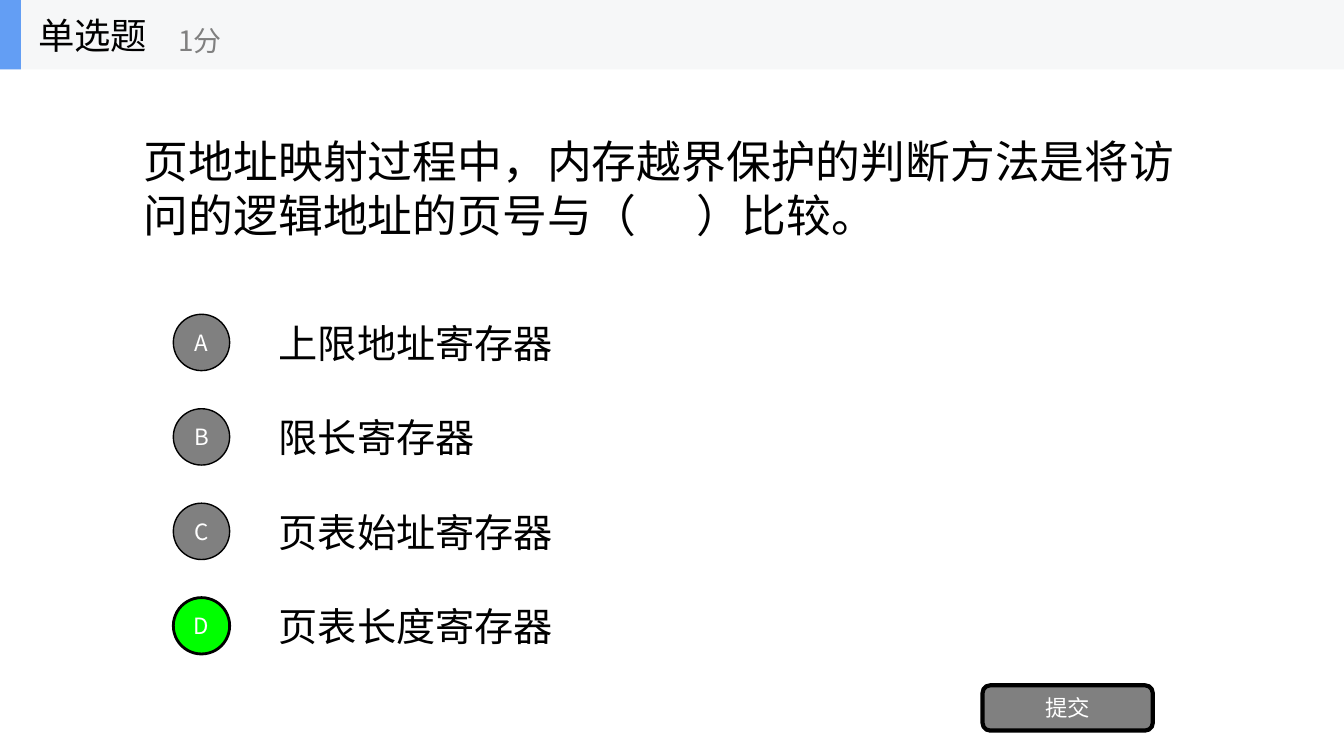
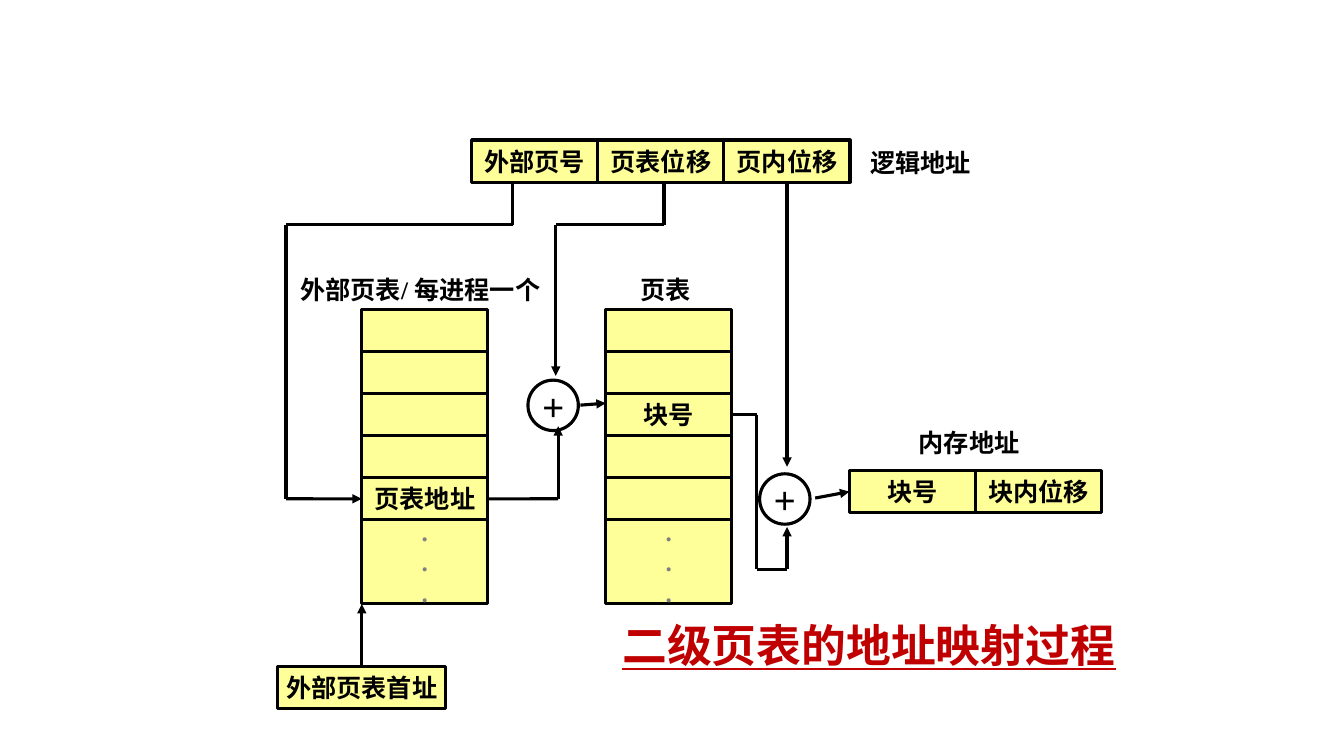
from itertools import pairwise

from lxml import etree
from pptx import Presentation
from pptx.dml.color import RGBColor
from pptx.enum import shapes, text
from pptx.oxml import ns
from pptx.util import Cm, Pt

# Shared colours and fonts
BLACK = RGBColor(0, 0, 0)
WHITE = RGBColor(255, 255, 255)
GRAY = RGBColor(0x80, 0x80, 0x80)
GREEN = RGBColor(0, 255, 0)
BAND = RGBColor(0xF6, 0xF7, 0xF8)
ACCENT = RGBColor(0x63, 0x9E, 0xF4)
YELLOW = RGBColor(0xFF, 0xFF, 0x99)
RED = RGBColor(0xC0, 0, 0)
SANS, SERIF = "Noto Sans CJK SC", "Times New Roman"

# Text formats
QUESTION = {"name": SERIF, "size": Pt(32)}
OPTION = {"name": SERIF, "size": Pt(28)}
BUTTON = {"name": SANS, "size": Pt(16)}
HEADING = {"name": SANS, "size": Pt(26)}
SCORE = {"name": SANS, "size": Pt(20)}
LABEL = {"name": SERIF, "size": Pt(18), "bold": True}
PLUS = {"name": SERIF, "size": Pt(28), "bold": True}
TITLE = {"name": SANS, "size": Pt(32), "bold": True, "underline": True}

SLIDE_WIDTH, SLIDE_HEIGHT = 33.88, 19.05
LINE_WIDTH = 2.25
CELL_WIDTH, CELL_HEIGHT = 3.18, 1.06
ADDER_SIZE = 1.27
LEFT, CENTER = text.PP_ALIGN.LEFT, text.PP_ALIGN.CENTER
TOP, MIDDLE = text.MSO_ANCHOR.TOP, text.MSO_ANCHOR.MIDDLE
RECTANGLE = shapes.MSO_SHAPE.RECTANGLE
OVAL = shapes.MSO_SHAPE.OVAL
ROUNDED = shapes.MSO_SHAPE.ROUNDED_RECTANGLE


def write(shape, content, style, color=BLACK, align=LEFT, anchor=MIDDLE, wrap=True):
    frame = shape.text_frame
    frame.word_wrap = wrap
    frame.vertical_anchor = anchor
    frame.text = content
    for paragraph in frame.paragraphs:
        paragraph.alignment = align
        for run in paragraph.runs:
            for name, value in style.items():
                setattr(run.font, name, value)
            run.font.color.rgb = color
            east_asian = etree.SubElement(run.font._element, ns.qn("a:ea"))
            east_asian.set("typeface", SANS)


def add_text(slide, box, content, style, **layout):
    textbox = slide.shapes.add_textbox(*map(Cm, box))
    write(textbox, content, style, **layout)


def add_box(slide, kind, box, fill=None, line=None):
    """Add a preset shape; line is a width in points."""
    shape = slide.shapes.add_shape(kind, *map(Cm, box))
    shape.shadow.inherit = False
    if fill is None:
        shape.fill.background()
    else:
        shape.fill.solid()
        shape.fill.fore_color.rgb = fill
    if line is None:
        shape.line.fill.background()
    else:
        shape.line.color.rgb = BLACK
        shape.line.width = Pt(line)
    return shape


# Question slide
def add_header(slide, left, top, width, height):
    add_box(slide, RECTANGLE, (left, top, width, height), BAND)
    add_box(slide, RECTANGLE, (left, top, 0.53, height), ACCENT)
    add_text(slide, (left + 0.71, top, 5.28, height), "单选题", HEADING)
    add_text(slide, (left + 4.24, top + 0.3, 6.35, 1.42), "1分", SCORE, color=GRAY)


def add_options(slide, left, top, width, step, options, answer):
    for index, (letter, option) in enumerate(options.items()):
        y = top + index * step
        add_text(slide, (left + 2.41, y, width - 2.41, 1.78), option, OPTION)
        chosen = letter == answer
        circle = add_box(slide, OVAL, (left, y + 0.17, 1.42, 1.42),
                         GREEN if chosen else GRAY, 2 if chosen else 1)
        write(circle, letter, BUTTON, WHITE, CENTER, wrap=False)


def build_question(slide):
    add_text(slide, (3.38, 1.75, 27.1, 5.94),
             "页地址映射过程中，内存越界保护的判断方法是将访问的逻辑地址的页号与（      ）比较。",
             QUESTION)
    options = {"A": "上限地址寄存器", "B": "限长寄存器",
               "C": "页表始址寄存器", "D": "页表长度寄存器"}
    add_options(slide, 4.37, 7.75, 26.11, 2.38, options, "D")
    submit = add_box(slide, ROUNDED, (24.77, 17.27, 4.29, 1.14), GRAY, 3)
    write(submit, "提交", BUTTON, WHITE, CENTER)
    add_header(slide, 0, 0, SLIDE_WIDTH, 1.75)


# Address mapping slide
def add_cell(slide, left, top, content="", width=CELL_WIDTH):
    cell = add_box(slide, RECTANGLE, (left, top, width, CELL_HEIGHT), YELLOW, LINE_WIDTH)
    if content:
        write(cell, content, LABEL, align=CENTER, wrap=False)
    return cell


def add_address(slide, left, top, fields):
    return [add_cell(slide, left + index * CELL_WIDTH, top, field)
            for index, field in enumerate(fields)]


def add_page_table(slide, left, top, rows):
    """Stack the entries above a double-height cell of dots."""
    cells = [add_cell(slide, left, top + index * CELL_HEIGHT, row)
             for index, row in enumerate(rows)]
    rest = (left, top + len(rows) * CELL_HEIGHT, CELL_WIDTH, 2 * CELL_HEIGHT)
    dots = add_box(slide, RECTANGLE, rest, YELLOW, LINE_WIDTH)
    write(dots, ".\n.\n.", LABEL, GRAY, CENTER, wrap=False)
    return cells


def add_adder(slide, left, top):
    adder = add_box(slide, OVAL, (left, top, ADDER_SIZE, ADDER_SIZE), line=LINE_WIDTH)
    for side in ("left", "top", "right", "bottom"):
        setattr(adder.text_frame, f"margin_{side}", 0)
    write(adder, "+", PLUS, align=CENTER, wrap=False)


def add_route(slide, left, top, points, begin=None, end=None):
    """Join points by straight lines, with an arrowhead on the last one."""
    segments = []
    for (x1, y1), (x2, y2) in pairwise(points):
        segment = slide.shapes.add_connector(
            shapes.MSO_CONNECTOR.STRAIGHT,
            *map(Cm, (left + x1, top + y1, left + x2, top + y2)))
        segment.line.color.rgb = BLACK
        segment.line.width = Pt(LINE_WIDTH)
        etree.SubElement(segment._element.spPr, ns.qn("a:effectLst"))
        segments.append(segment)
    if begin:
        segments[0].begin_connect(*begin)
    if end:
        segments[-1].end_connect(*end)
    line = segments[-1].line._get_or_add_ln()
    etree.SubElement(line, ns.qn("a:tailEnd")).set("type", "triangle")


def add_mapping(slide, left, top):
    # Addresses and tables
    logical_x, outer_x, inner_x, memory_x = 4.89, 2.12, 8.27, 14.41
    table_y, memory_y, base_y = 4.27, 8.33, 13.26
    logical = add_address(slide, left + logical_x, top, ["外部页号", "页表位移", "页内位移"])
    outer = add_page_table(slide, left + outer_x, top + table_y, ["", "", "", "", "页表地址"])
    inner = add_page_table(slide, left + inner_x, top + table_y, ["", "", "块号", "", ""])
    memory = add_address(slide, left + memory_x, top + memory_y, ["块号", "块内位移"])
    base = add_cell(slide, left, top + base_y, "外部页表首址", 4.24)

    # Captions
    for x, y, width, caption in [(14.69, 0.05, 3.05, "逻辑地址"),
                                 (0.32, 3.25, 6.86, "外部页表/ 每进程一个"),
                                 (8.9, 3.25, 1.78, "页表"),
                                 (15.91, 7.11, 3.05, "内存地址")]:
        add_text(slide, (left + x, top + y, width, 1.02), caption, LABEL,
                 anchor=TOP, wrap=False)

    # Adders
    for x, y in [(6.31, 6.05), (12.15, 8.41)]:
        add_adder(slide, left + x, top + y)

    # Arrows
    bend_y = 2.13
    entry_y = table_y + 4.5 * CELL_HEIGHT
    frame_y = table_y + 2.5 * CELL_HEIGHT
    table_bottom = table_y + 7 * CELL_HEIGHT
    offset_x = logical_x + 2.5 * CELL_WIDTH
    outer_right, inner_right = outer_x + CELL_WIDTH, inner_x + CELL_WIDTH
    routes = [
        ([(5.93, CELL_HEIGHT), (5.93, bend_y), (0.21, bend_y), (0.21, entry_y),
          (outer_x, entry_y)], None, (outer[4], 1)),
        ([(9.74, CELL_HEIGHT), (9.74, bend_y), (7.01, bend_y), (7.01, 5.94)], None, None),
        ([(offset_x, CELL_HEIGHT), (offset_x, 8.23)], (logical[2], 2), None),
        ([(outer_right, entry_y), (7.07, entry_y), (7.07, 7.21)], (outer[4], 3), None),
        ([(2.12, base_y), (outer_x, table_bottom)], (base, 0), None),
        ([(7.63, 6.68), (inner_x, 6.63)], None, None),
        ([(inner_right, frame_y), (12.08, frame_y), (12.08, 10.82), (offset_x, 10.82),
          (offset_x, 9.75)], (inner[2], 3), None),
        ([(13.55, 9.02), (memory_x, memory_y + CELL_HEIGHT / 2)], None, (memory[0], 1)),
    ]
    for points, begin, end in routes:
        add_route(slide, left, top, points, begin, end)


def build_mapping(slide):
    add_text(slide, (15.44, 15.44, 13.03, 1.63), "二级页表的地址映射过程", TITLE,
             color=RED, anchor=TOP, wrap=False)
    add_mapping(slide, 7, 3.53)


def main():
    presentation = Presentation()
    presentation.slide_width = Cm(SLIDE_WIDTH)
    presentation.slide_height = Cm(SLIDE_HEIGHT)
    for build in (build_question, build_mapping):
        build(presentation.slides.add_slide(presentation.slide_layouts[6]))
    presentation.save("out.pptx")


if __name__ == "__main__":
    main()
